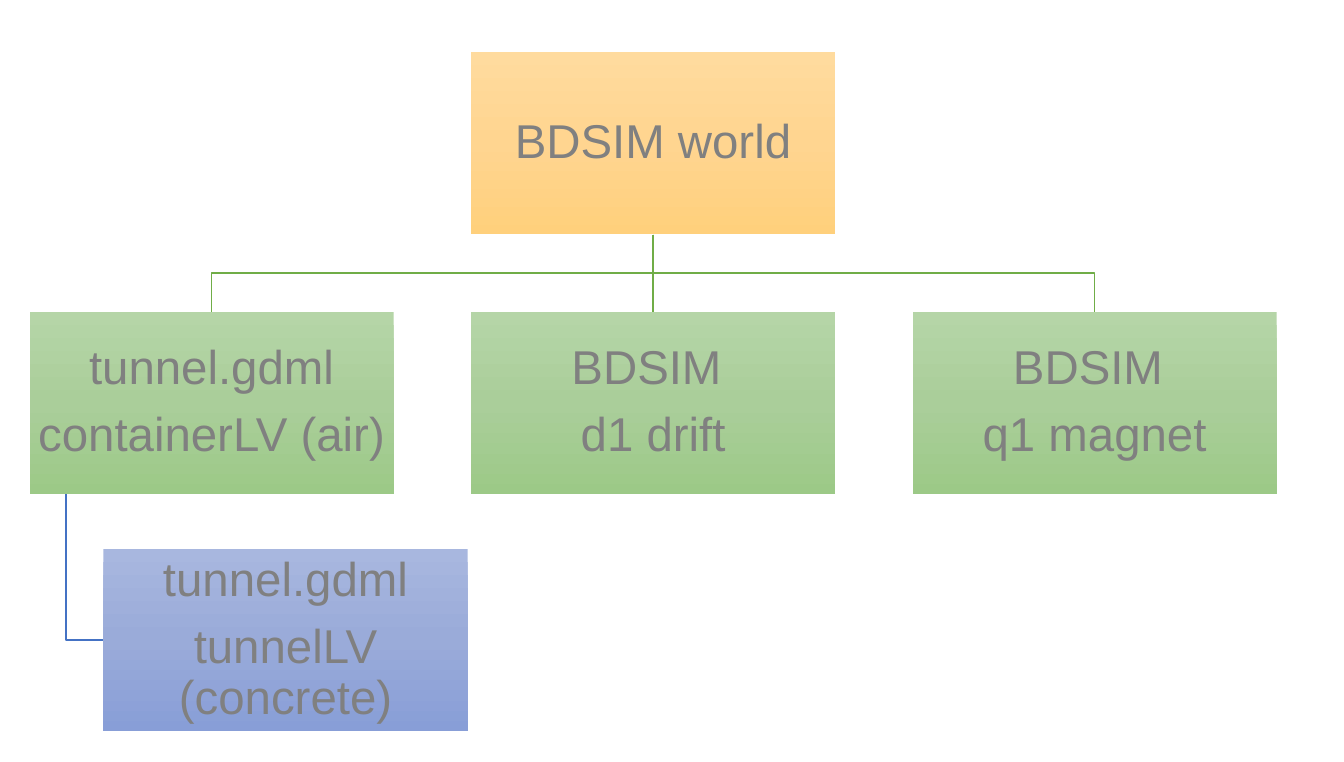
from copy import deepcopy
from pptx import Presentation
from pptx.dml.color import RGBColor
from pptx.enum.shapes import MSO_SHAPE
from pptx.enum.text import MSO_ANCHOR, PP_ALIGN
from pptx.oxml.ns import qn
from pptx.util import Cm, Inches, Pt

GRAY = RGBColor(0x80, 0x80, 0x80)
LEAF = RGBColor(0x70, 0xAD, 0x47)
NAVY = RGBColor(0x44, 0x72, 0xC4)
GOLD = [RGBColor.from_string(c) for c in ("FFDB9E", "FFD590", "FFD07C")]
GREEN = [RGBColor.from_string(c) for c in ("B5D5A7", "AACE9A", "9CC987")]
BLUE = [RGBColor.from_string(c) for c in ("A8B7DF", "9AABD9", "889ED7")]

# Grid of the tree, in inches
LEFT, TOP = 0.26, 0.46
WIDE, HIGH = 3.2, 1.6
COL, ROW = 3.88, 2.28
INDENT, DROP = 0.65, 4.36    # child box, from the grid's corner
STEM = WIDE / 10             # where the child's line leaves its parent


def spot(col, row):
    return LEFT + col * COL, TOP + row * ROW


def shade(shape, tones):
    """Fill a shape from top to bottom with three tones."""
    fill = shape.fill
    fill.gradient()
    fill.gradient_angle = 270
    stops = shape._element.spPr.find(qn("a:gradFill")).find(qn("a:gsLst"))
    stops.insert(1, deepcopy(stops[0]))
    for i, (stop, tone) in enumerate(zip(fill.gradient_stops, tones)):
        stop.position = i / 2
        stop.color.rgb = tone


def add_box(slide, place, lines, tones):
    x, y = place
    box = slide.shapes.add_shape(MSO_SHAPE.RECTANGLE, Inches(x), Inches(y),
                                 Inches(WIDE), Inches(HIGH))
    box.shadow.inherit = False
    box.line.fill.background()
    shade(box, tones)
    frame = box.text_frame
    frame.word_wrap = True
    frame.vertical_anchor = MSO_ANCHOR.MIDDLE
    frame.margin_left = frame.margin_right = Inches(0.02)
    frame.margin_top = frame.margin_bottom = Inches(0.02)
    frame.text = "\n".join(lines)
    for para in frame.paragraphs:
        para.alignment = PP_ALIGN.CENTER
        para.line_spacing = 0.9
        para.space_after = Pt(10)
        para.font.name = "Arial"
        para.font.size = Pt(30)
        para.font.color.rgb = GRAY


def add_link(slide, points, color):
    """Draw an open line through the points."""
    start, *rest = [(Inches(x), Inches(y)) for x, y in points]
    pen = slide.shapes.build_freeform(*start)
    pen.add_line_segments(rest, close=False)
    link = pen.convert_to_shape()
    link.shadow.inherit = False
    link.fill.background()
    link.line.color.rgb = color
    link.line.width = Pt(1)


def main():
    deck = Presentation()
    deck.slide_width, deck.slide_height = Cm(30), Cm(17)
    slide = deck.slides.add_slide(deck.slide_layouts[6])

    # Lines from the world to its three parts
    root = spot(1, 0)
    mid = root[0] + WIDE / 2
    foot, head = root[1] + HIGH, root[1] + ROW
    bend = (foot + head) / 2
    add_link(slide, [(mid, foot), (mid, head)], LEAF)
    for col in (0, 2):
        end = spot(col, 1)[0] + WIDE / 2
        add_link(slide, [(mid, foot), (mid, bend), (end, bend), (end, head)],
                 LEAF)

    # Line from the container to the tunnel
    child = LEFT + INDENT, TOP + DROP
    stem, level = LEFT + STEM, child[1] + HIGH / 2
    add_link(slide, [(stem, head + HIGH), (stem, level), (child[0], level)],
             NAVY)

    # Boxes
    add_box(slide, root, ["BDSIM world"], GOLD)
    parts = [("tunnel.gdml", "containerLV (air)"),
             ("BDSIM ", "d1 drift"),
             ("BDSIM ", "q1 magnet")]
    for col, lines in enumerate(parts):
        add_box(slide, spot(col, 1), lines, GREEN)
    add_box(slide, child, ["tunnel.gdml", "tunnelLV (concrete)"], BLUE)

    deck.save("out.pptx")


main()
